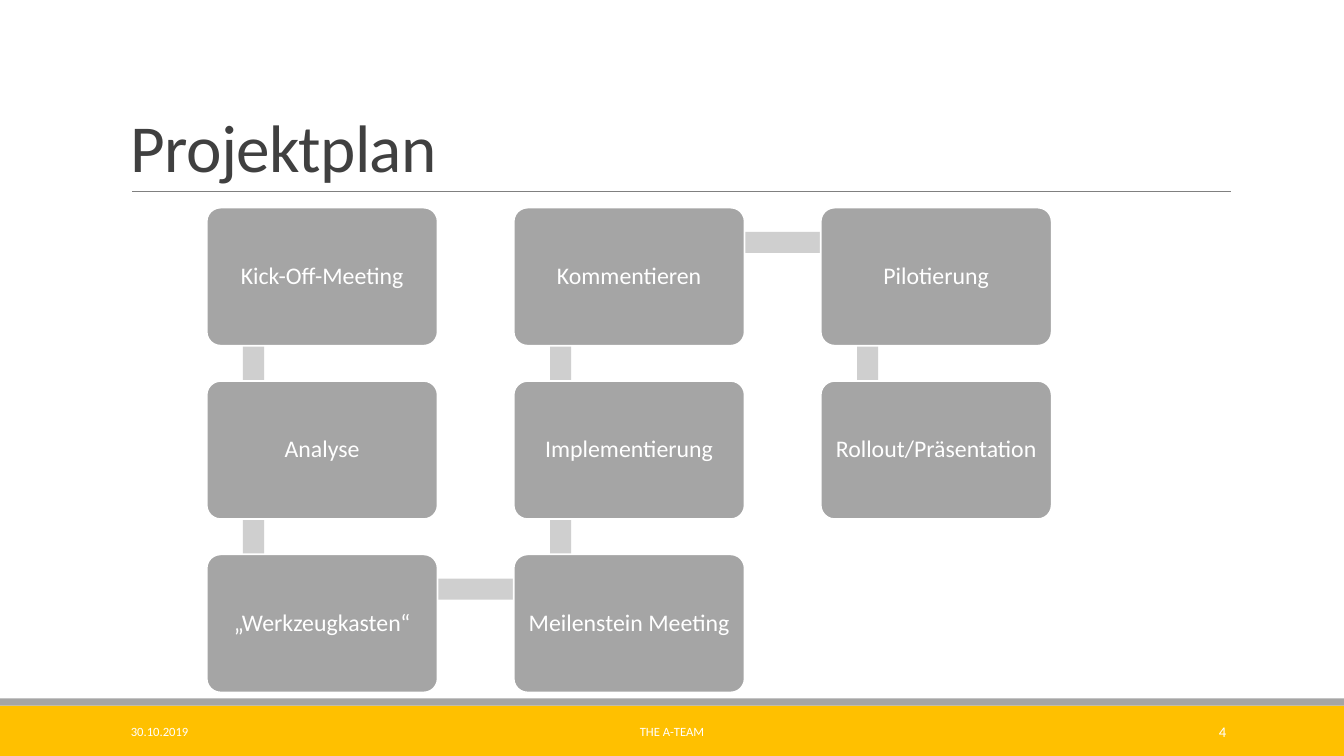
from itertools import pairwise

from lxml import etree
from pptx import Presentation
from pptx.dml.color import RGBColor
from pptx.enum.shapes import MSO_CONNECTOR as Connector, MSO_SHAPE as Shape
from pptx.enum.text import MSO_ANCHOR as Anchor, PP_ALIGN as Align
from pptx.oxml.ns import qn
from pptx.util import Inches, Pt

COLORS = {
    "title": "404040",
    "rule": "808080",
    "box": "A5A5A5",
    "link": "CFCFCF",
    "footer": "FFC000",
    "white": "FFFFFF",
}
FONT = "Calibri"

# Steps in order, each with its column and row on the snaking path
STEPS = [
    ("Kick-Off-Meeting", 0, 0),
    ("Analyse", 0, 1),
    ("„Werkzeugkasten“", 0, 2),
    ("Meilenstein Meeting", 1, 2),
    ("Implementierung", 1, 1),
    ("Kommentieren", 1, 0),
    ("Pilotierung", 2, 0),
    ("Rollout/Präsentation", 2, 1),
]
BOX_WIDTH, BOX_HEIGHT = 2.29, 1.37
COLUMN_STEP, ROW_STEP = 3.045, 1.72
LINK_X, LINK_Y, LINK_THICKNESS = 0.465, 0.345, 0.21


def rgb(name):
    return RGBColor.from_string(COLORS[name])


def add_block(slide, kind, left, top, width, height, color):
    block = slide.shapes.add_shape(
        kind, Inches(left), Inches(top), Inches(width), Inches(height))
    block.shadow.inherit = False
    block.fill.solid()
    block.fill.fore_color.rgb = rgb(color)
    block.line.fill.background()
    return block


def write(shape, text, size, color, align=Align.LEFT, anchor=Anchor.MIDDLE):
    """Fill the shape with one styled paragraph and return it."""
    frame = shape.text_frame
    frame.word_wrap = True
    frame.vertical_anchor = anchor
    paragraph = frame.paragraphs[0]
    paragraph.text = text
    paragraph.alignment = align
    paragraph.font.name = FONT
    paragraph.font.size = Pt(size)
    paragraph.font.color.rgb = rgb(color)
    return paragraph


def add_text(slide, left, top, width, height, *style):
    box = slide.shapes.add_textbox(
        Inches(left), Inches(top), Inches(width), Inches(height))
    return write(box, *style)


def add_title(slide, left, top, width, height):
    bottom = top + height
    rule = slide.shapes.add_connector(
        Connector.STRAIGHT, Inches(left + 0.11), Inches(bottom),
        Inches(left + width + 0.01), Inches(bottom))
    rule.line.color.rgb = rgb("rule")
    rule.line.width = Pt(0.5)
    etree.SubElement(rule._element.spPr, qn("a:effectLst"))

    paragraph = add_text(slide, left, top, width, height,
                         "Projektplan", 48, "title", Align.LEFT, Anchor.BOTTOM)
    paragraph.line_spacing = 0.85
    paragraph.runs[0]._r.get_or_add_rPr().set("spc", "-50")


def add_link(slide, start, end):
    """Draw a bar between two box corners, along a column or a row."""
    left, top = (min(pair) for pair in zip(start, end))
    right, bottom = (max(pair) for pair in zip(start, end))
    if left == right:
        place = (left + LINK_X - LINK_THICKNESS / 2, top + LINK_Y,
                 LINK_THICKNESS, bottom - top)
    else:
        place = (left + LINK_X, top + LINK_Y - LINK_THICKNESS / 2,
                 right - left, LINK_THICKNESS)
    add_block(slide, Shape.RECTANGLE, *place, "link")


def add_step(slide, text, left, top):
    box = add_block(slide, Shape.ROUNDED_RECTANGLE, left, top,
                    BOX_WIDTH, BOX_HEIGHT, "box")
    box.adjustments[0] = 0.1
    box.line.color.rgb = rgb("white")
    box.line.width = Pt(1.25)
    frame = box.text_frame
    frame.margin_left = frame.margin_right = Inches(0.07)
    frame.margin_top = frame.margin_bottom = Inches(0.07)
    write(box, text, 17, "white", Align.CENTER).line_spacing = 0.9


def add_plan(slide, left, top):
    corners = [(left + column * COLUMN_STEP, top + row * ROW_STEP)
               for _, column, row in STEPS]
    for start, end in pairwise(corners):
        add_link(slide, start, end)
    for (text, _, _), corner in zip(STEPS, corners):
        add_step(slide, text, *corner)


def add_footer(slide, left, top, width, height):
    add_block(slide, Shape.RECTANGLE, left, top, width, height, "footer")
    add_block(slide, Shape.RECTANGLE, left, top - 0.07, width, 0.07, "box")
    for x, text_width, text, size, align in [
        (1.2, 2.7, "30.10.2019", 9, Align.LEFT),
        (4.03, 5.27, "THE A-TEAM", 9, Align.CENTER),
        (10.83, 1.43, "4", 10.5, Align.RIGHT),
    ]:
        add_text(slide, left + x, top + 0.06, text_width, 0.4,
                 text, size, "white", align)


def main():
    presentation = Presentation()
    presentation.slide_width = Inches(13.33)
    presentation.slide_height = Inches(7.5)
    slide = presentation.slides.add_slide(presentation.slide_layouts[6])
    add_footer(slide, 0, 7, 13.33, 0.5)
    add_title(slide, 1.2, 0.31, 11, 1.59)
    add_plan(slide, 2.05, 2.06)
    presentation.save("out.pptx")


if __name__ == "__main__":
    main()
